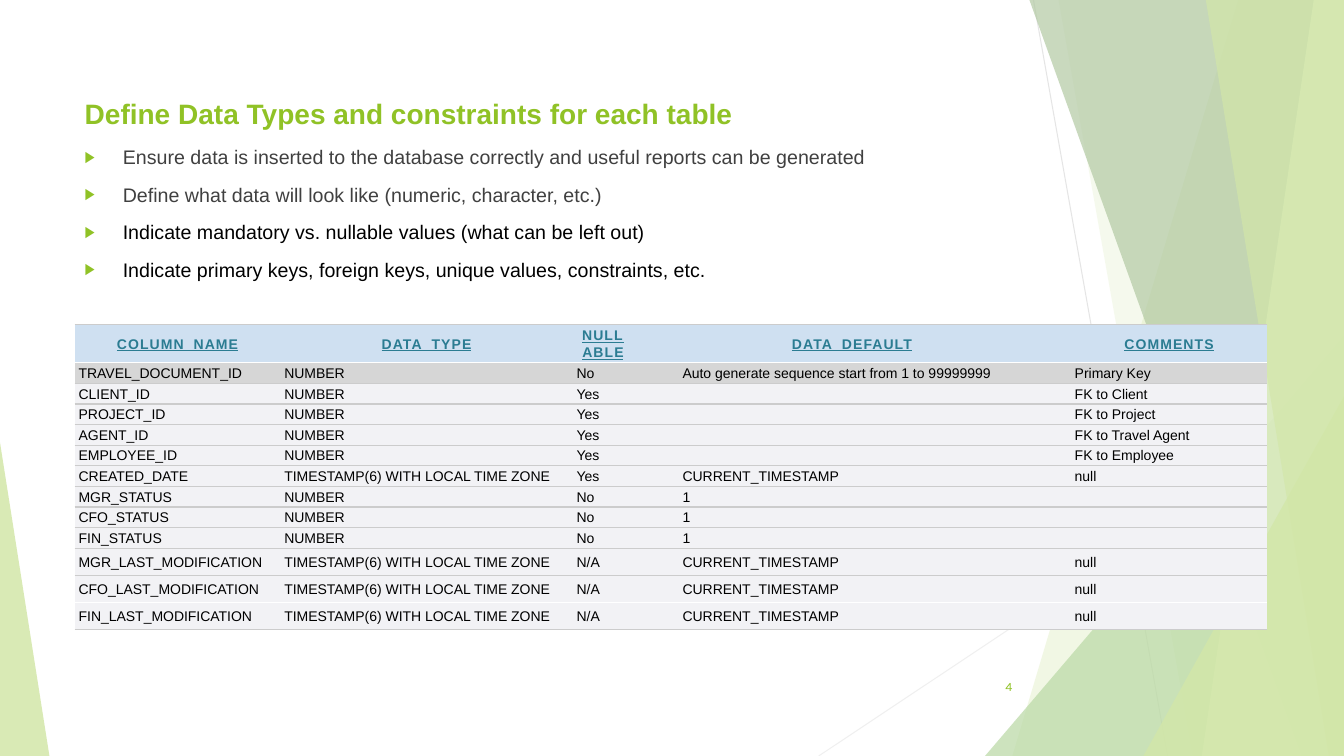
from lxml.etree import SubElement
from pptx import Presentation
from pptx.dml.color import RGBColor
from pptx.enum.shapes import MSO_CONNECTOR, MSO_SHAPE
from pptx.enum.text import MSO_ANCHOR, MSO_AUTO_SIZE, PP_ALIGN
from pptx.oxml import parse_xml
from pptx.oxml.ns import nsdecls, qn
from pptx.util import Inches, Pt

WHITE = RGBColor(0xFF, 0xFF, 0xFF)
BLACK = RGBColor(0x00, 0x00, 0x00)
CHARCOAL = RGBColor(0x40, 0x40, 0x40)
GREEN = RGBColor(0x90, 0xC2, 0x26)
MID_GREEN = RGBColor(0x54, 0xA0, 0x21)
DARK_GREEN = RGBColor(0x3F, 0x78, 0x19)
PALE_GREEN = RGBColor(0xC0, 0xE4, 0x74)
LINE_GRAY = RGBColor(0xBF, 0xBF, 0xBF)
LIGHT_LINE_GRAY = RGBColor(0xD9, 0xD9, 0xD9)
HEADER_BLUE = RGBColor(0xCF, 0xE0, 0xF1)
HEADER_TEAL = RGBColor(0x2B, 0x7C, 0x92)
KEY_GRAY = RGBColor(0xD6, 0xD6, 0xD6)
ROW_GRAY = RGBColor(0xF2, 0xF2, 0xF5)
BORDER_GRAY = RGBColor(0xCC, 0xCC, 0xCC)

WIDTH, HEIGHT = 13.33, 7.5
NO_TABLE_STYLE = "{2D5ABB26-0587-4C30-8999-92F81FD0307C}"

BULLETS = [
    ("Ensure data is inserted to the database correctly and useful reports can be generated", CHARCOAL),
    ("Define what data will look like (numeric, character, etc.)", CHARCOAL),
    ("Indicate mandatory vs. nullable values (what can be left out)", BLACK),
    ("Indicate primary keys, foreign keys, unique values, constraints, etc.", BLACK),
]

TIMESTAMP = "TIMESTAMP(6) WITH LOCAL TIME ZONE"
NOW = "CURRENT_TIMESTAMP"
ROWS = [
    ("COLUMN_NAME", "DATA_TYPE", "NULLABLE", "DATA_DEFAULT", "COMMENTS"),
    ("TRAVEL_DOCUMENT_ID", "NUMBER", "No", "Auto generate sequence start from 1 to 99999999", "Primary Key"),
    ("CLIENT_ID", "NUMBER", "Yes", "", "FK to Client"),
    ("PROJECT_ID", "NUMBER", "Yes", "", "FK to Project"),
    ("AGENT_ID", "NUMBER", "Yes", "", "FK to Travel Agent"),
    ("EMPLOYEE_ID", "NUMBER", "Yes", "", "FK to Employee"),
    ("CREATED_DATE", TIMESTAMP, "Yes", NOW, "null"),
    ("MGR_STATUS", "NUMBER", "No", "1", ""),
    ("CFO_STATUS", "NUMBER", "No", "1", ""),
    ("FIN_STATUS", "NUMBER", "No", "1", ""),
    ("MGR_LAST_MODIFICATION", TIMESTAMP, "N/A", NOW, "null"),
    ("CFO_LAST_MODIFICATION", TIMESTAMP, "N/A", NOW, "null"),
    ("FIN_LAST_MODIFICATION", TIMESTAMP, "N/A", NOW, "null"),
]
COLUMN_WIDTHS = [2.04, 2.9, 0.6, 0.45, 3.89, 1.95]
ROW_HEIGHTS = [0.38] + [1.84 / 9] * 9 + [0.27] * 3


class SlideBuilder:
    def __init__(self, slide, font_name="Arial"):
        self.slide = slide
        self.shapes = slide.shapes
        self.font_name = font_name

    def style(self, paragraph, size, color, bold=False, font_name=None):
        font = paragraph.font
        font.name = font_name or self.font_name
        font.size = Pt(size)
        font.bold = bold
        font.color.rgb = color

    def fill(self, shape, color, opacity):
        shape.shadow.inherit = False
        shape.fill.solid()
        shape.fill.fore_color.rgb = color
        shape.line.fill.background()
        rgb = shape._element.spPr.find(qn("a:solidFill"))[0]
        SubElement(rgb, qn("a:alpha")).set("val", str(opacity * 1000))

    def line(self, start, end, color):
        connector = self.shapes.add_connector(
            MSO_CONNECTOR.STRAIGHT, *map(Inches, start + end))
        connector.line.color.rgb = color
        connector.line.width = Pt(0.75)
        SubElement(connector._element.spPr, qn("a:effectLst"))

    def facet(self, top_x, bottom_x, color, opacity):
        builder = self.shapes.build_freeform(Inches(top_x), 0)
        corners = [(WIDTH, 0), (WIDTH, HEIGHT), (bottom_x, HEIGHT)]
        builder.add_line_segments([(Inches(x), Inches(y)) for x, y in corners])
        self.fill(builder.convert_to_shape(), color, opacity)

    def preset(self, kind, box, color, opacity, tip=None):
        shape = self.shapes.add_shape(kind, *map(Inches, box))
        if tip is not None:
            shape.adjustments[0] = tip
        self.fill(shape, color, opacity)

    def title(self, text, box):
        title = self.shapes.title
        self.shapes._spTree.append(title._element)
        title.left, title.top, title.width, title.height = map(Inches, box)
        frame = title.text_frame
        frame.text = text
        frame.auto_size = MSO_AUTO_SIZE.NONE
        frame.vertical_anchor = MSO_ANCHOR.TOP
        paragraph = frame.paragraphs[0]
        paragraph.alignment = PP_ALIGN.JUSTIFY
        paragraph.line_spacing = 1.72
        paragraph.space_before = paragraph.space_after = Pt(13)
        self.style(paragraph, 20, GREEN, bold=True)

    def text_frame(self, box):
        frame = self.shapes.add_textbox(*map(Inches, box)).text_frame
        frame.word_wrap = True
        return frame

    def bullets(self, items, box):
        frame = self.text_frame(box)
        for index, (text, color) in enumerate(items):
            paragraph = frame.add_paragraph() if index else frame.paragraphs[0]
            paragraph.text = text
            paragraph.space_before = Pt(10)
            props = paragraph._p.get_or_add_pPr()
            props.set("marL", str(Inches(0.38)))
            props.set("indent", str(-Inches(0.38)))
            bullet_color = SubElement(props, qn("a:buClr"))
            SubElement(bullet_color, qn("a:srgbClr")).set("val", str(GREEN))
            SubElement(props, qn("a:buSzPct")).set("val", "80000")
            SubElement(props, qn("a:buFont")).set("typeface", self.font_name)
            SubElement(props, qn("a:buChar")).set("char", "▶")
            self.style(paragraph, 14, color)

    def page_number(self, text, box):
        frame = self.text_frame(box)
        frame.vertical_anchor = MSO_ANCHOR.MIDDLE
        paragraph = frame.paragraphs[0]
        paragraph.text = text
        paragraph.alignment = PP_ALIGN.RIGHT
        self.style(paragraph, 9, GREEN, font_name="Karla")

    def cell(self, cell, is_header, color, edges):
        cell.fill.solid()
        cell.fill.fore_color.rgb = color
        cell.vertical_anchor = MSO_ANCHOR.MIDDLE
        cell.margin_left = cell.margin_right = Inches(0.04)
        cell.margin_top = cell.margin_bottom = Inches(0.01)
        paragraph = cell.text_frame.paragraphs[0]
        paragraph.alignment = PP_ALIGN.CENTER if is_header else PP_ALIGN.JUSTIFY
        paragraph.line_spacing = 1.07
        self.style(paragraph, 10, HEADER_TEAL if is_header else BLACK, bold=is_header)
        paragraph.font.underline = is_header
        for run in paragraph.runs:
            run._r.get_or_add_rPr().set("spc", "80" if is_header else "0")
        if not paragraph.runs:
            paragraph._p.get_or_add_endParaRPr().set("sz", "1000")
        for index, (side, edge) in enumerate(zip(("lnT", "lnB"), edges)):
            cell._tc.get_or_add_tcPr().insert(index, parse_xml(
                f'<a:{side} {nsdecls("a")} w="12700"><a:solidFill>'
                f'<a:srgbClr val="{edge}"/></a:solidFill></a:{side}>'))

    def table(self, rows, left, top):
        table = self.shapes.add_table(
            len(rows), len(COLUMN_WIDTHS), Inches(left), Inches(top),
            Inches(sum(COLUMN_WIDTHS)), Inches(sum(ROW_HEIGHTS))).table
        table._tbl.tblPr.find(qn("a:tableStyleId")).text = NO_TABLE_STYLE
        table.first_row = table.horz_banding = False
        for column, width in zip(table.columns, COLUMN_WIDTHS):
            column.width = Inches(width)
        edges = [BORDER_GRAY] * (len(rows) + 1)
        edges[1] = edges[-2] = WHITE
        fills = [HEADER_BLUE, KEY_GRAY] + [ROW_GRAY] * (len(rows) - 2)
        for index, values in enumerate(rows):
            table.rows[index].height = Inches(ROW_HEIGHTS[index])
            is_header = index == 0
            merged = 3 if is_header else 2
            table.cell(index, merged).merge(table.cell(index, merged + 1))
            for column, value in zip((0, 1, 2, 3 if is_header else 4, 5), values):
                table.cell(index, column).text = value
            for column in range(len(COLUMN_WIDTHS)):
                self.cell(table.cell(index, column), is_header, fills[index],
                          edges[index:index + 2])


def main():
    presentation = Presentation()
    presentation.slide_width = Inches(WIDTH)
    presentation.slide_height = Inches(HEIGHT)
    builder = SlideBuilder(presentation.slides.add_slide(presentation.slide_layouts[5]))
    triangle = MSO_SHAPE.ISOSCELES_TRIANGLE

    builder.line((10.25, 0), (11.58, HEIGHT), LINE_GRAY)
    builder.line((WIDTH, 4.03), (8.12, HEIGHT), LIGHT_LINE_GRAY)
    builder.facet(12.28, 10.04, GREEN, 30)
    builder.facet(10.5, 11.83, GREEN, 20)
    builder.preset(triangle, (9.77, 3.33, 3.56, 4.17), MID_GREEN, 72, tip=1)
    builder.facet(10.21, 12.91, DARK_GREEN, 70)
    builder.facet(13.03, 11.92, PALE_GREEN, 70)
    builder.facet(11.96, 13.18, GREEN, 65)
    builder.preset(triangle, (11.34, 3.93, 1.99, 3.57), GREEN, 80, tip=1)
    builder.preset(triangle, (0, 4.39, 0.49, 3.11), GREEN, 85, tip=0)
    builder.preset(MSO_SHAPE.RECTANGLE, (0, 0, WIDTH, HEIGHT), WHITE, 60)

    builder.page_number("4", (9.39, 6.61, 0.75, 0.4))
    builder.title("Define Data Types and constraints for each table", (0.74, 0.67, 9.4, 1.44))
    builder.bullets(BULLETS, (0.74, 1.39, 10, 2.15))
    builder.table(ROWS, 0.74, 3.22)
    presentation.save("out.pptx")


if __name__ == "__main__":
    main()
